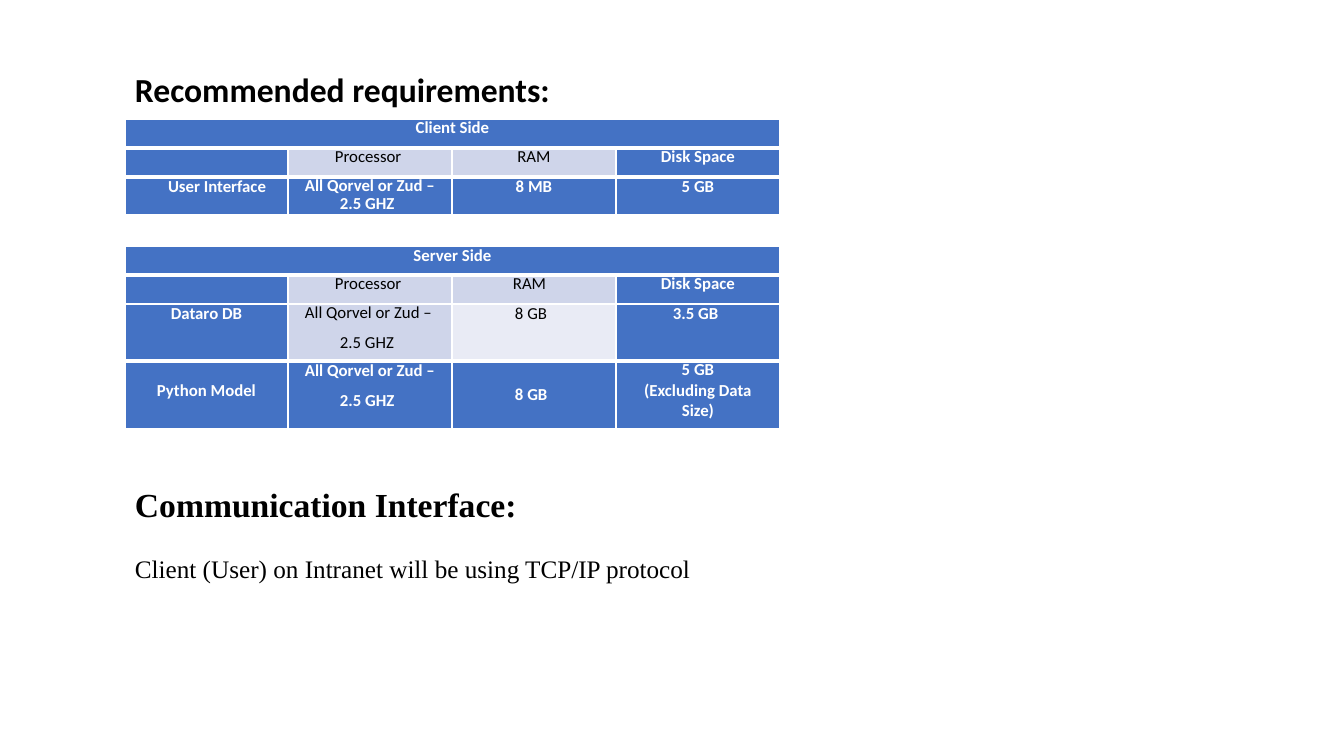
from lxml import etree
from pptx import Presentation
from pptx.dml.color import RGBColor
from pptx.enum.text import MSO_ANCHOR, PP_ALIGN
from pptx.oxml.ns import qn
from pptx.util import Emu, Pt

CENTER, LEFT = PP_ALIGN.CENTER, PP_ALIGN.LEFT
MIDDLE = MSO_ANCHOR.MIDDLE
SCALE = 914400 / 100.8
SANS, SERIF = "Calibri", "Times New Roman"
WHITE, BLACK = "FFFFFF", "000000"
DARK, MID, PALE = "4472C4", "CFD5EA", "E9EBF5"
TIGHT = Pt(13.8)


def px(n):
    return Emu(round(n * SCALE))


def paint(hue):
    return RGBColor.from_string(hue)


def put(item, values):
    for name, value in values.items():
        setattr(item, name, value)


def write(para, text, size, face, bold, hue=BLACK):
    run = para.add_run()
    run.text = text
    put(run.font, {"size": Pt(size), "name": face, "bold": bold})
    run.font.color.rgb = paint(hue)


def add_text(slide, top, text, size, face, bold):
    frame = slide.shapes.add_textbox(px(125), px(top), px(1087), px(50)).text_frame
    frame.word_wrap = True
    write(frame.paragraphs[0], text, size, face, bold)


# Cell content: a line without an indent is centred
def line(text, indent=None, **form):
    return text, indent, form


def cell(fill, *lines, **form):
    return fill, lines, form


def edge(box, thick):
    props = box._tc.get_or_add_tcPr()
    for side in "LRTB":
        width = Pt(3 if side in thick else 1)
        rule = etree.SubElement(props, qn("a:ln" + side), w=str(width))
        fill = etree.SubElement(rule, qn("a:solidFill"))
        etree.SubElement(fill, qn("a:srgbClr"), val=WHITE)


def fill_cell(box, data, thick):
    hue, lines, form = data
    edge(box, thick)
    box.fill.solid()
    box.fill.fore_color.rgb = paint(hue)
    put(box, {"margin_left": 0, "margin_right": 0,
              "margin_top": 0, "margin_bottom": 0, **form})
    frame = box.text_frame
    for i, (text, indent, look) in enumerate(lines):
        para = frame.add_paragraph() if i else frame.paragraphs[0]
        put(para, {"alignment": CENTER if indent is None else LEFT, **look})
        if indent is not None:
            para._p.get_or_add_pPr().set("marL", str(px(indent)))
        dark = hue == DARK
        write(para, text, 12, SANS, dark, WHITE if dark else BLACK)
    if not lines:
        etree.SubElement(frame.paragraphs[0]._p, qn("a:endParaRPr"), sz="1200")


def add_grid(slide, top, heights, rows):
    widths = [163, 164, 164, 164]
    frame = slide.shapes.add_table(len(rows), len(widths), px(125), px(top),
                                   px(sum(widths)), px(sum(heights)))
    table = frame.table
    put(table, {"first_row": False, "horz_banding": False})
    for col, width in zip(table.columns, widths):
        col.width = px(width)
    for row, height in zip(table.rows, heights):
        row.height = px(height)
    # Heavy rules lie below the title and above the last row
    last = len(rows) - 1
    for r, row in enumerate(rows):
        thick = ("T" if r in (1, last) else "") + ("B" if r in (0, last - 1) else "")
        for c, data in enumerate(row):
            fill_cell(table.cell(r, c), data, thick)
    table.cell(0, 0).merge(table.cell(0, len(widths) - 1))


def title(text, **form):
    return [cell(DARK, line(text, **form))] + [cell(DARK)] * 3


def header(ram):
    return [cell(DARK),
            cell(MID, line("Processor", 47, line_spacing=TIGHT)),
            cell(MID, line("RAM", ram, line_spacing=TIGHT)),
            cell(DARK, line("Disk Space", line_spacing=TIGHT))]


def chip(fill, first, second):
    return cell(fill, line("All Qorvel or Zud –", 17, **first),
                line("2.5 GHZ", 52, **second))


def main():
    deck = Presentation()
    put(deck, {"slide_width": px(1344), "slide_height": px(756)})
    slide = deck.slides.add_slide(deck.slide_layouts[6])
    tight, apart = {"line_spacing": TIGHT}, {"space_before": Pt(6.8)}

    # Headings and note
    add_text(slide, 64, "Recommended requirements:", 24, SANS, True)
    add_text(slide, 479, "Communication Interface:", 24, SERIF, True)
    add_text(slide, 548, "Client (User) on Intranet will be using TCP/IP protocol",
             18, SERIF, False)

    # Client table
    add_grid(slide, 119, [29, 29, 38], [
        title("Client Side", **tight),
        header(None),
        [cell(DARK, line("User Interface", 43)),
         chip(DARK, tight, {"line_spacing": Pt(12.8)}),
         cell(DARK, line("8 MB")),
         cell(DARK, line("5 GB"))],
    ])

    # Server table
    add_grid(slide, 246, [29, 29, 57, 68], [
        title("Server Side"),
        header(61),
        [cell(DARK, line("Dataro DB")),
         chip(MID, tight, apart),
         cell(PALE, line("8 GB", 63)),
         cell(DARK, line("3.5 GB", 57))],
        [cell(DARK, line("Python Model"), vertical_anchor=MIDDLE, margin_bottom=px(9)),
         chip(DARK, {}, apart),
         cell(DARK, line("8 GB", 63), vertical_anchor=MIDDLE),
         cell(DARK, line("5 GB", **tight), line("(Excluding Data Size)"),
              margin_left=px(26), margin_right=px(26))],
    ])
    deck.save("out.pptx")


if __name__ == "__main__":
    main()
